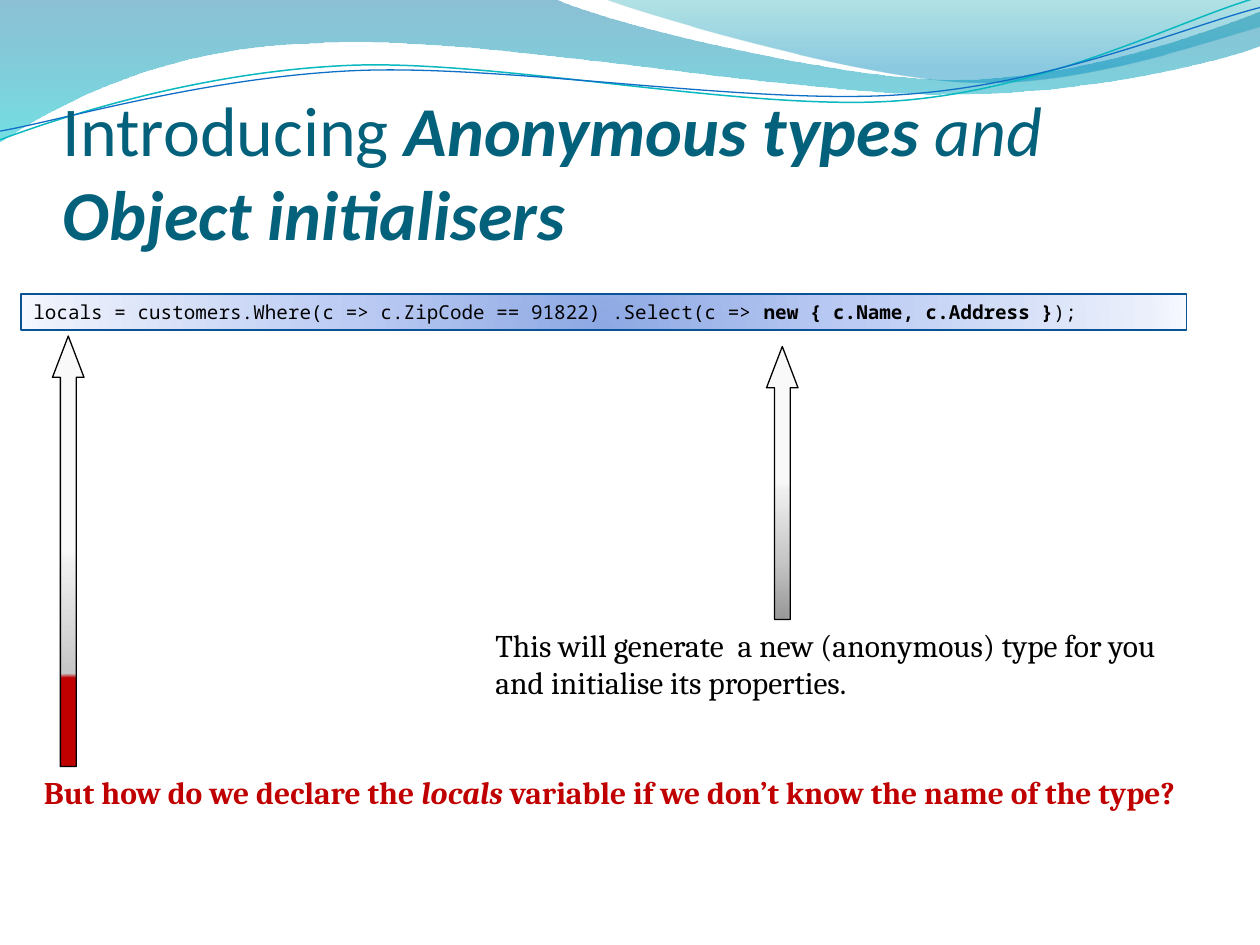
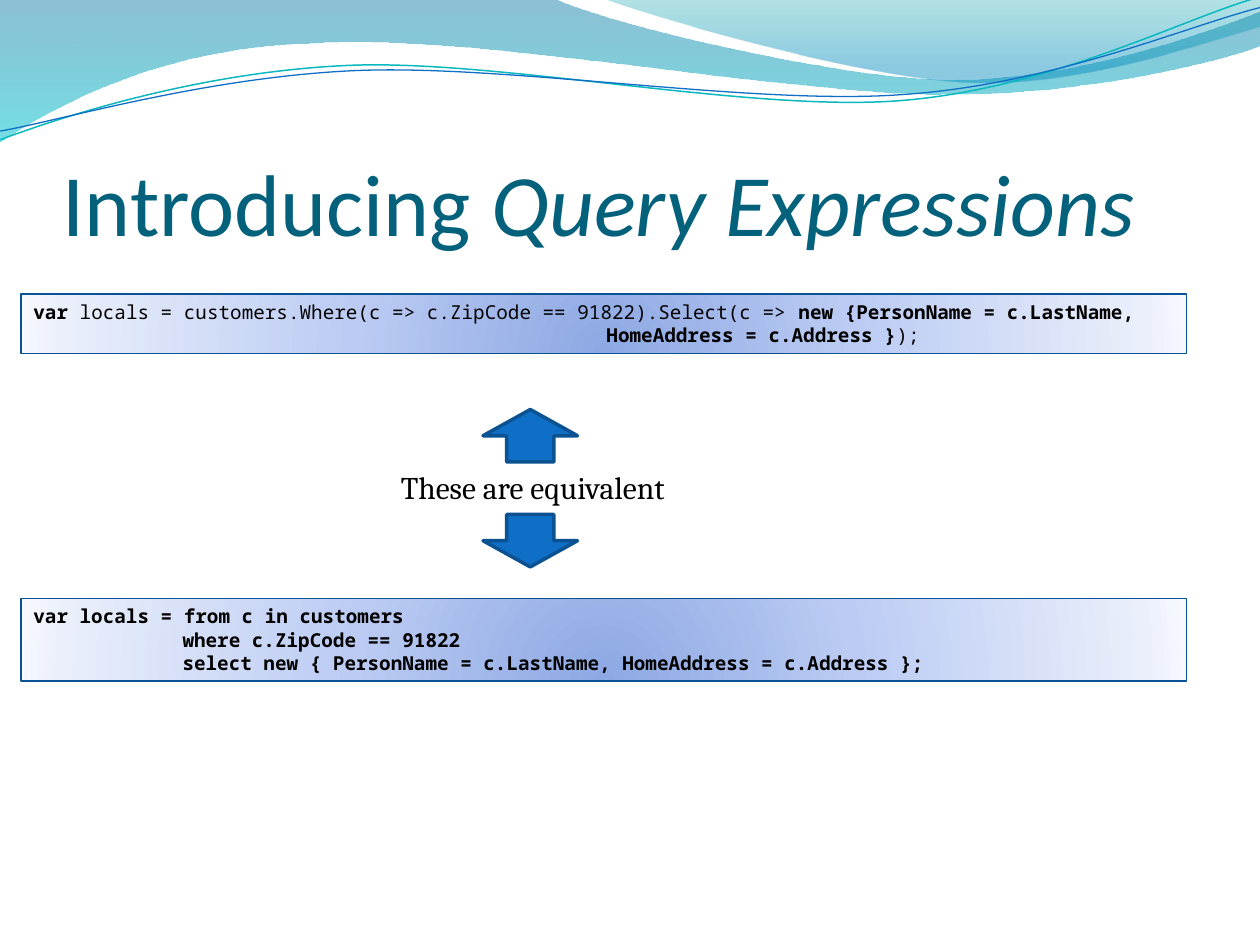
from lxml import etree
from pptx import Presentation
from pptx import util as u
from pptx.dml import color
from pptx.enum import shapes, text
from pptx.oxml import ns

COLOURS = {
    "title": "04617B", "ink": "000000", "alert": "C00000",
    "code_edge": "095295", "block": "0F6FC6", "block_edge": "0B5292",
    "band_top": "0074A1", "band_end": "00C6CF",
    "crest_top": "00A1A9", "crest_end": "008BBF",
    "teal_line": "0AB8BF", "blue_line": "0F6FC6",
    "code_core": "8DA8E3", "code_mid": "BBCBF3",
    "code_pale": "EAEFFB", "code_rim": "F7F9FF",
    "grey_dark": "979797", "grey_mid": "C6C6C6",
    "grey_pale": "EEEEEE", "grey_rim": "F9F9F9",
}
HEADING, BODY, CODE = "Calibri", "Cambria", "Noto Sans Mono"
SLIDE_BOX = (0, 0, 720, 540)
TITLE_BOX = (36, 55.4, 648, 90)
CODE_LEFT, CODE_WIDTH = 12, 666

BAND = [(0, 0), (316.8, -0.7),
        ((342.7, 12.2), (478.1, 45.4), (545.8, 45.4)),
        ((614.2, 45.4), (689.8, 18.7), (720, 6.5)), (720.7, 25.9),
        ((707.8, 31.7), (626.4, 54.7), (537.1, 54)),
        ((447.8, 54), (275, 20.2), (185, 24.5)),
        ((92.9, 25.9), (33.1, 59.8), (-0.7, 81.4))]
CREST = [(344.9, -0.7),
         ((366.5, 7.9), (491, 44.6), (553.7, 46.8)),
         ((616.3, 49.7), (691.9, 23), (720, 15.1)), (720, 0)]
TEAL_LINE = [(0, 79.9),
             ((34.6, 67), (113.8, 41), (199.4, 37.4)),
             ((284.4, 33.8), (427, 64.1), (513.4, 57.6)),
             ((599.8, 51.1), (675.4, 10.8), (718.6, -1.4))]
BLUE_LINE = [(0, 74.9),
             ((33.8, 69.1), (118.1, 43.9), (203.8, 40.3)),
             ((290.2, 36.7), (431.3, 60.5), (516.2, 54)),
             ((601.9, 48.2), (677.5, 15.1), (720, 4.3))]

CODE_STOPS = [(0, "code_core"), (43, "code_mid"), (93, "code_pale"), (100, "code_rim")]
GREY_RISE = [(43, "grey_mid"), (93, "grey_pale"), (100, "grey_rim")]
GREY_STOPS = [(0, "grey_dark"), *GREY_RISE]
ALERT_STOPS = [(41, "alert"), *GREY_RISE]


def rgb(name):
    return color.RGBColor.from_string(COLOURS[name])


def points(box):
    return [u.Pt(length) for length in box]


def paint_gradient(shape, stops, angle=None):
    shape.fill.background()
    blank = shape._element.spPr.find(ns.qn("a:noFill"))
    gradient = etree.Element(ns.qn("a:gradFill"), rotWithShape="1")
    stop_list = etree.SubElement(gradient, ns.qn("a:gsLst"))
    for position, name, *alpha in stops:
        stop = etree.SubElement(stop_list, ns.qn("a:gs"), pos=str(position * 1000))
        tint = etree.SubElement(stop, ns.qn("a:srgbClr"), val=COLOURS[name])
        for percent in alpha:
            etree.SubElement(tint, ns.qn("a:alpha"), val=str(percent * 1000))
    if angle is None:
        centre = etree.SubElement(gradient, ns.qn("a:path"), path="circle")
        etree.SubElement(centre, ns.qn("a:fillToRect"),
                         l="50000", t="130000", r="50000", b="-30000")
    else:
        etree.SubElement(gradient, ns.qn("a:lin"), ang=str(angle * 60000), scaled="0")
    blank.getparent().replace(blank, gradient)


def outline(shape, name, width):
    shape.shadow.inherit = False
    shape.line.color.rgb = rgb(name)
    shape.line.width = u.Pt(width)


def add_curve(slide, box, steps, close):
    left, top = box[:2]

    def place(point):
        return u.Pt(left + point[0]), u.Pt(top + point[1])

    ends = [place(step if len(step) == 2 else step[-1]) for step in steps]
    builder = slide.shapes.build_freeform(*ends[0])
    builder.add_line_segments(ends[1:], close=close)
    curve = builder.convert_to_shape()
    curve.shadow.inherit = False
    segments = list(curve._element.iter(ns.qn("a:lnTo")))
    for segment, step in zip(segments, steps[1:]):
        if len(step) == 3:
            bend = etree.Element(ns.qn("a:cubicBezTo"))
            for x, y in map(place, step):
                etree.SubElement(bend, ns.qn("a:pt"),
                                 x=str(x - curve.left), y=str(y - curve.top))
            segment.getparent().replace(segment, bend)
    return curve


def add_waves(slide, box):
    for area, stops in (
            (BAND, [(0, "band_top", 45), (100, "band_end", 55)]),
            (CREST, [(0, "crest_top", 30), (80, "crest_end", 45)])):
        wave = add_curve(slide, box, area, True)
        paint_gradient(wave, stops, 90)
        wave.line.fill.background()
    for steps, name, width in ((TEAL_LINE, "teal_line", 0.85),
                               (BLUE_LINE, "blue_line", 0.75)):
        ripple = add_curve(slide, box, steps, False)
        ripple.fill.background()
        outline(ripple, name, width)


def write(paragraph, runs, face, size, name):
    paragraph.alignment = text.PP_ALIGN.LEFT
    for wording, style in runs:
        run = paragraph.add_run()
        run.text = wording
        run.font.name = face
        run.font.size = u.Pt(size)
        run.font.color.rgb = rgb(name)
        run.font.bold = "b" in style
        run.font.italic = "i" in style


def add_title(slide, box, runs, size):
    frame = slide.shapes.add_textbox(*points(box)).text_frame
    frame.word_wrap = True
    frame.vertical_anchor = text.MSO_ANCHOR.BOTTOM
    frame.margin_left = frame.margin_right = frame.margin_bottom = 0
    write(frame.paragraphs[0], runs, HEADING, size, "title")


def add_remark(slide, box, runs, name="ink", wrap=False):
    frame = slide.shapes.add_textbox(*points(box)).text_frame
    frame.word_wrap = wrap
    write(frame.paragraphs[0], runs, BODY, 18, name)


def add_code(slide, box, lines, hang=0):
    panel = slide.shapes.add_shape(shapes.MSO_SHAPE.RECTANGLE, *points(box))
    paint_gradient(panel, CODE_STOPS)
    outline(panel, "code_edge", 0.75)
    frame = panel.text_frame
    frame.word_wrap = True
    frame.vertical_anchor = text.MSO_ANCHOR.TOP
    statement = frame.paragraphs[0]
    if hang:
        layout = statement._p.get_or_add_pPr()
        layout.set("marL", str(u.Pt(hang)))
        layout.set("indent", str(-u.Pt(hang)))
    for number, runs in enumerate(lines):
        if number:
            statement.add_line_break()
        write(statement, runs, CODE, 11, "ink")


def add_pointer(slide, box, stops):
    pointer = slide.shapes.add_shape(shapes.MSO_SHAPE.DOWN_ARROW, *points(box))
    pointer.rotation = 180
    pointer.adjustments[1] = 1.31
    paint_gradient(pointer, stops)
    outline(pointer, "ink", 0.75)


def add_equivalence(slide, box):
    left, top, width, height = box
    arrow_width, arrow_height = 54, 30
    add_remark(slide, (left, top + arrow_height, width, height - 2 * arrow_height),
               [("These are equivalent", "")])
    for arrow_top, turn in ((top + height - arrow_height, 0), (top, 180)):
        arrow = slide.shapes.add_shape(
            shapes.MSO_SHAPE.DOWN_ARROW,
            *points((left + arrow_width, arrow_top, arrow_width, arrow_height)))
        arrow.rotation = turn
        arrow.fill.solid()
        arrow.fill.fore_color.rgb = rgb("block")
        outline(arrow, "block_edge", 2)


def start_slide(deck, title_runs, title_size):
    slide = deck.slides.add_slide(deck.slide_layouts[6])
    add_waves(slide, SLIDE_BOX)
    add_title(slide, TITLE_BOX, title_runs, title_size)
    return slide


def anonymous_types(deck):
    slide = start_slide(deck, [("Introducing ", ""), ("Anonymous types ", "bi"),
                               ("and ", "i"), ("Object initialisers", "bi")], 40)
    add_code(slide, (CODE_LEFT, 168, CODE_WIDTH, 20.6), [[
        ("locals = customers.Where(c => c.ZipCode == 91822) .Select(c => ", ""),
        ("new { c.Name, c.Address }", "b"), (");", "")]])
    add_pointer(slide, (438, 198, 18, 156), GREY_STOPS)
    add_remark(slide, (18, 438, 690, 29), [
        ("But how do we declare the ", "b"), ("locals", "bi"),
        (" variable if we don’t know the name of the type?", "b")], "alert")
    add_pointer(slide, (30, 192, 18, 246), ALERT_STOPS)
    add_remark(slide, (276, 354, 414, 51), [
        ("This will generate  a new (anonymous) type for you "
         "and initialise its properties.", "")], wrap=True)


def query_expressions(deck):
    slide = start_slide(deck, [("Introducing ", ""), ("Query Expressions", "i")], 50)
    add_code(slide, (CODE_LEFT, 168, CODE_WIDTH, 33.9), [[
        ("var", "b"),
        (" locals = customers.Where(c => c.ZipCode == 91822).Select(c => ", ""),
        ("new {PersonName = c.LastName, HomeAddress = c.Address }", "b"),
        (");", "")]], 327.5)
    add_code(slide, (CODE_LEFT, 342, CODE_WIDTH, 47.2), [
        [("var locals = from c in customers", "b")],
        [("where c.ZipCode == 91822", "b")],
        [("select new { PersonName = c.LastName, HomeAddress = c.Address };", "b")]], 85.2)
    add_equivalence(slide, (222, 234, 174, 90))


def main():
    deck = Presentation()
    deck.slide_width, deck.slide_height = points(SLIDE_BOX[2:])
    anonymous_types(deck)
    query_expressions(deck)
    deck.save("out.pptx")


if __name__ == "__main__":
    main()
